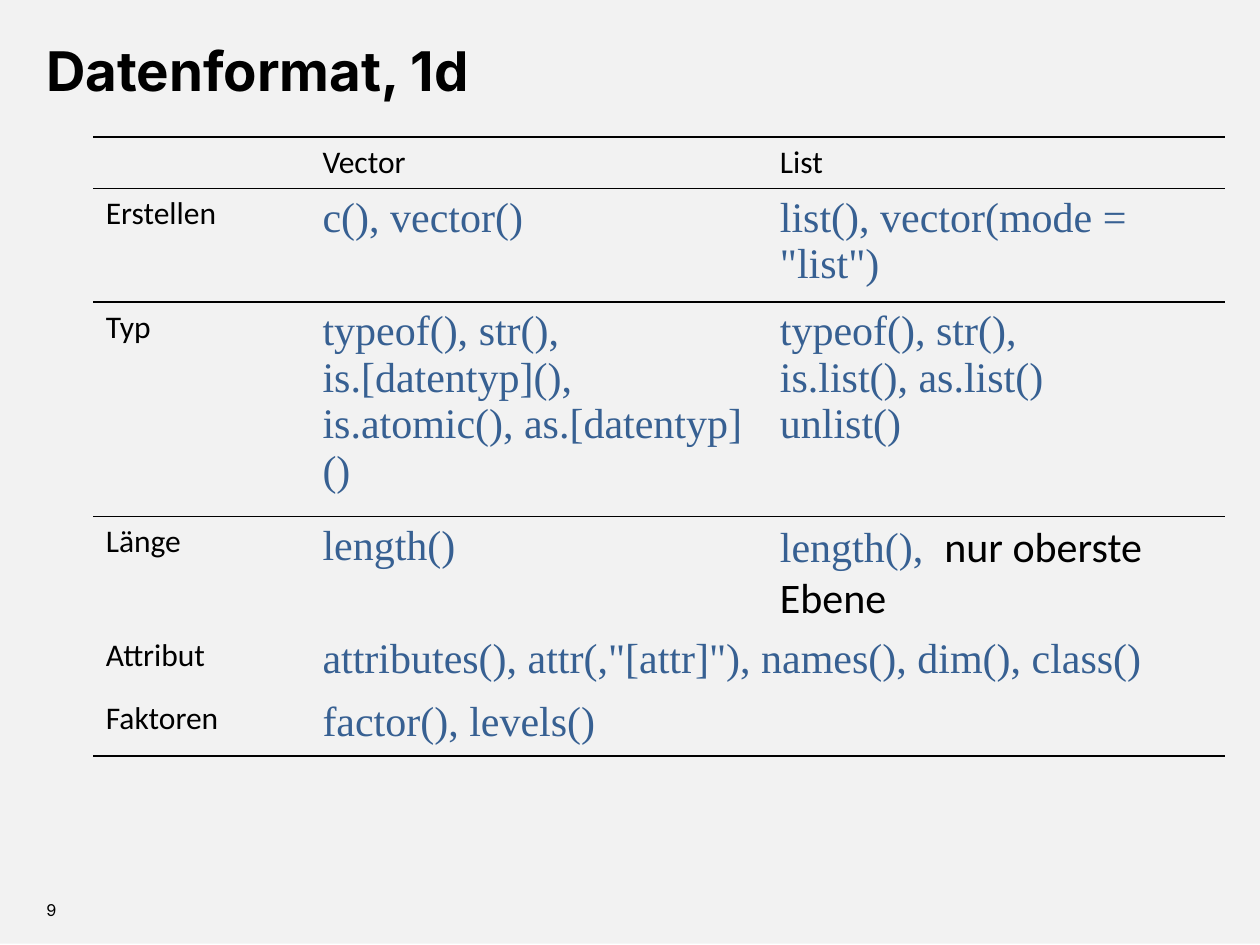
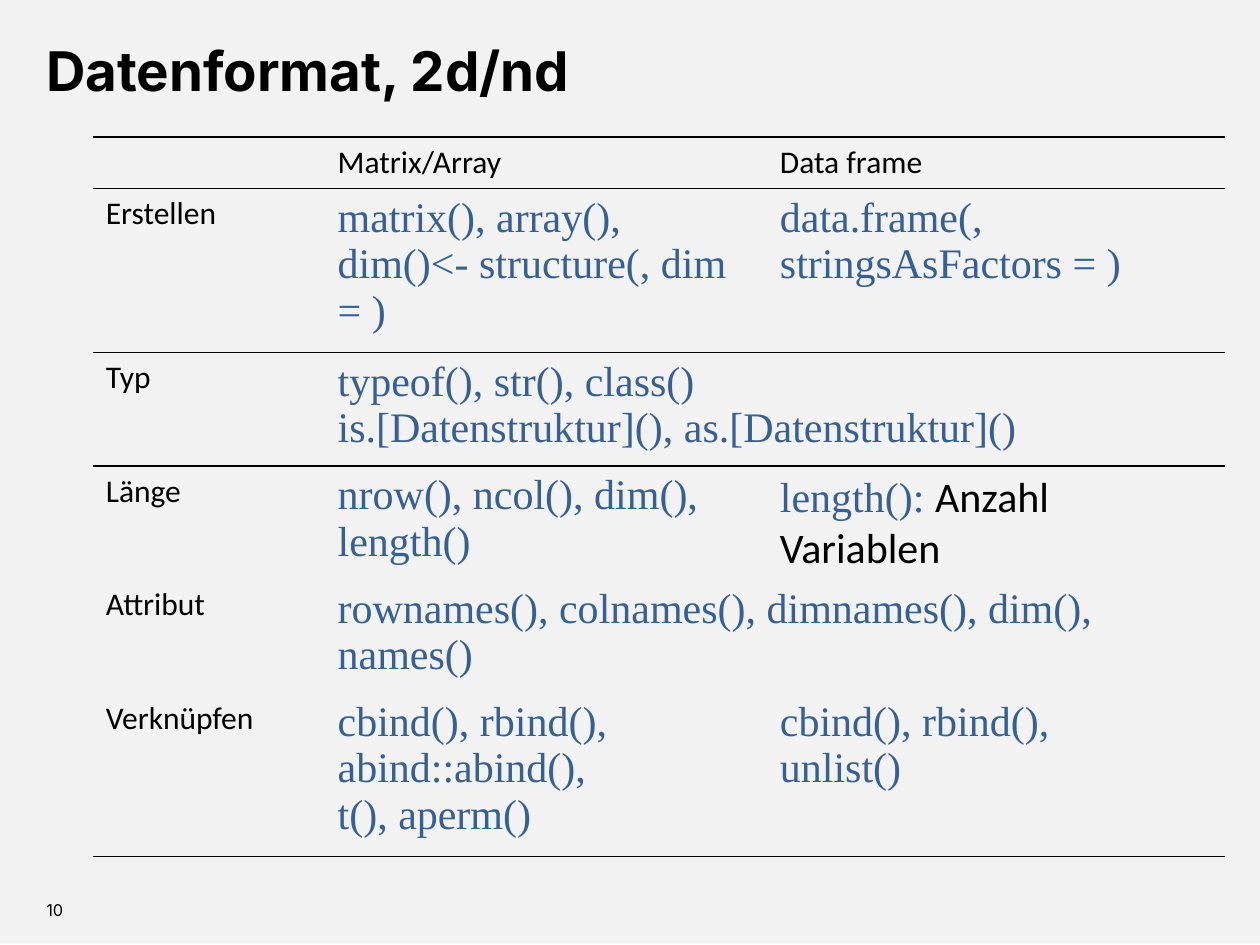
"""Build two slides that list R functions for one- and multi-dimensional data structures."""
import pptx
import pptx.util
import pptx.dml.color
import pptx.enum.shapes
import pptx.enum.text
import lxml.etree
from dataclasses import dataclass

SLIDES = [
    {
        "number": 9,
        "title": "Datenformat, 1d",
        "columns": (1.72, 3.63, 3.63),
        "rows": [
            ("", "Vector", "List"),
            ("Erstellen", "c(), vector()", 'list(), vector(mode = "list")'),
            ("Typ", "typeof(), str(), \vis.[datentyp](), is.atomic(), as.[datentyp]()",
             "typeof(), str(), \nis.list(), as.list()\vunlist()"),
            ("Länge", "length()", "length(),  |nur oberste Ebene"),
            ("Attribut", 'attributes(), attr(,"[attr]"), names(), dim(), class()', None),
            ("Faktoren", "factor(), levels()", ""),
        ],
    },
    {
        "number": 10,
        "title": "Datenformat, 2d/nd",
        "columns": (1.84, 3.51, 3.63),
        "rows": [
            ("", "Matrix/Array", "Data frame"),
            ("Erstellen", "matrix(), array(), dim()<- structure(, dim = )",
             "data.frame(, stringsAsFactors = )"),
            ("Typ", "typeof(), str(), class()\nis.[Datenstruktur](), as.[Datenstruktur]()", None),
            ("Länge", "nrow(), ncol(), dim(), length()", "length(): |Anzahl Variablen"),
            ("Attribut", "rownames(), colnames(), dimnames(), dim(), names()", None),
            ("Verknüpfen", "cbind(), rbind(), abind::abind(),\nt(), aperm()",
             "cbind(), rbind(), \vunlist()"),
        ],
    },
]


@dataclass(frozen=True)
class Theme:
    black: str = "000000"
    panel: str = "F2F2F2"
    code: str = "376092"
    rule: float = 1
    plain_style: str = "{2D5ABB26-0587-4C30-8999-92F81FD0307C}"


T = Theme()
STYLES = {
    "title": {"size": 31.2, "name": "Inter", "bold": True, "color": T.black},
    "number": {"size": 9.3, "name": "Inter", "color": T.black},
    "label": {"size": 18, "name": "Calibri", "color": T.black},
    "code": {"size": 24, "name": "Times New Roman", "color": T.code},
    "remark": {"size": 24, "name": "Calibri", "color": T.black},
}
RULES = {0: ("lnT", "lnB"), 1: ("lnT", "lnB"), 2: ("lnT",), 5: ("lnB",)}
W, H = 10, 7.5
MARGIN = 0.027 * W
TITLE_BOX = (MARGIN, 0.035 * H, W - 2 * MARGIN, 0.077 * H)
NUMBER_BOX = (MARGIN, 0.955 * H, 0.233 * W, 0.017 * H)
TABLE_LEFT, TABLE_TOP, ROW_HEIGHT = 0.074 * W, 0.145 * H, 0.41


def box(*lengths):
    return [pptx.util.Inches(v) for v in lengths]


def rgb(code):
    return pptx.dml.color.RGBColor.from_string(code)


def set_font(font, style):
    for key, value in STYLES[style].items():
        if key == "color":
            font.color.rgb = rgb(value)
        else:
            setattr(font, key, pptx.util.Pt(value) if key == "size" else value)


def write(tf, text, *styles):
    for i, line in enumerate(text.split("\n")):
        p = tf.paragraphs[0] if i == 0 else tf.add_paragraph()
        for part, style in zip(line.split("|"), styles):
            for j, piece in enumerate(part.split("\v")):
                if j:
                    p.add_line_break()
                r = p.add_run()
                r.text = piece
                set_font(r.font, style)


def add_label(s, area, text, style):
    tf = s.shapes.add_textbox(*box(*area)).text_frame
    frame = {"word_wrap": True, "vertical_anchor": pptx.enum.text.MSO_ANCHOR.MIDDLE}
    for key, value in frame.items():
        setattr(tf, key, value)
    write(tf, text, style)


def add_rule(cell, side):
    tag = "{http://schemas.openxmlformats.org/drawingml/2006/main}"
    width = str(pptx.util.Pt(T.rule))
    ln = lxml.etree.SubElement(cell._tc.get_or_add_tcPr(), tag + side, w=width)
    fill = lxml.etree.SubElement(ln, tag + "solidFill")
    lxml.etree.SubElement(fill, tag + "srgbClr", val=T.black)


def add_function_table(s, rows, columns):
    area = box(TABLE_LEFT, TABLE_TOP, sum(columns), ROW_HEIGHT * len(rows))
    table = s.shapes.add_table(len(rows), len(columns), *area).table
    table._tbl.tblPr[0].text = T.plain_style
    for key in ("first_row", "horz_banding"):
        setattr(table, key, False)
    for column, width in zip(table.columns, columns):
        column.width = pptx.util.Inches(width)
    for i, row in enumerate(rows):
        for j, text in enumerate(row):
            cell = table.cell(i, j)
            for side in RULES.get(i, ()):
                add_rule(cell, side)
            cell.fill.background()
            if text is None:
                table.cell(i, j - 1).merge(cell)
            elif text:
                styles = ("label",) if i == 0 or j == 0 else ("code", "remark")
                write(cell.text_frame, text, *styles)


def add_panel(s):
    kind = pptx.enum.shapes.MSO_SHAPE.RECTANGLE
    sp = s.shapes.add_shape(kind, *box(0, 0, W, H - 0.01))
    sp.shadow.inherit = False
    sp.fill.solid()
    sp.fill.fore_color.rgb = rgb(T.panel)
    sp.line.fill.background()


prs = pptx.Presentation()
prs.slide_width, prs.slide_height = box(W, H)
for content in SLIDES:
    s = prs.slides.add_slide(prs.slide_layouts[6])
    add_panel(s)
    add_label(s, NUMBER_BOX, str(content["number"]), "number")
    add_label(s, TITLE_BOX, content["title"], "title")
    add_function_table(s, content["rows"], content["columns"])
prs.save("out.pptx")
